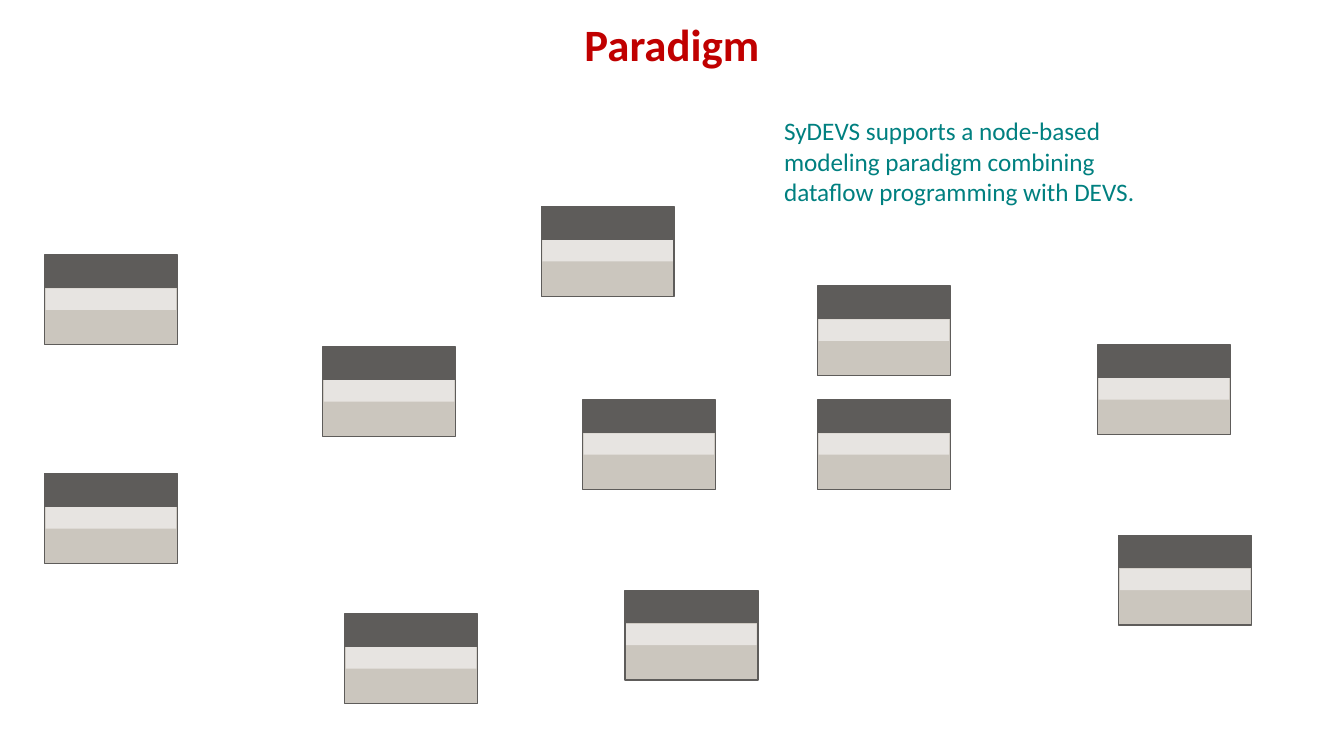
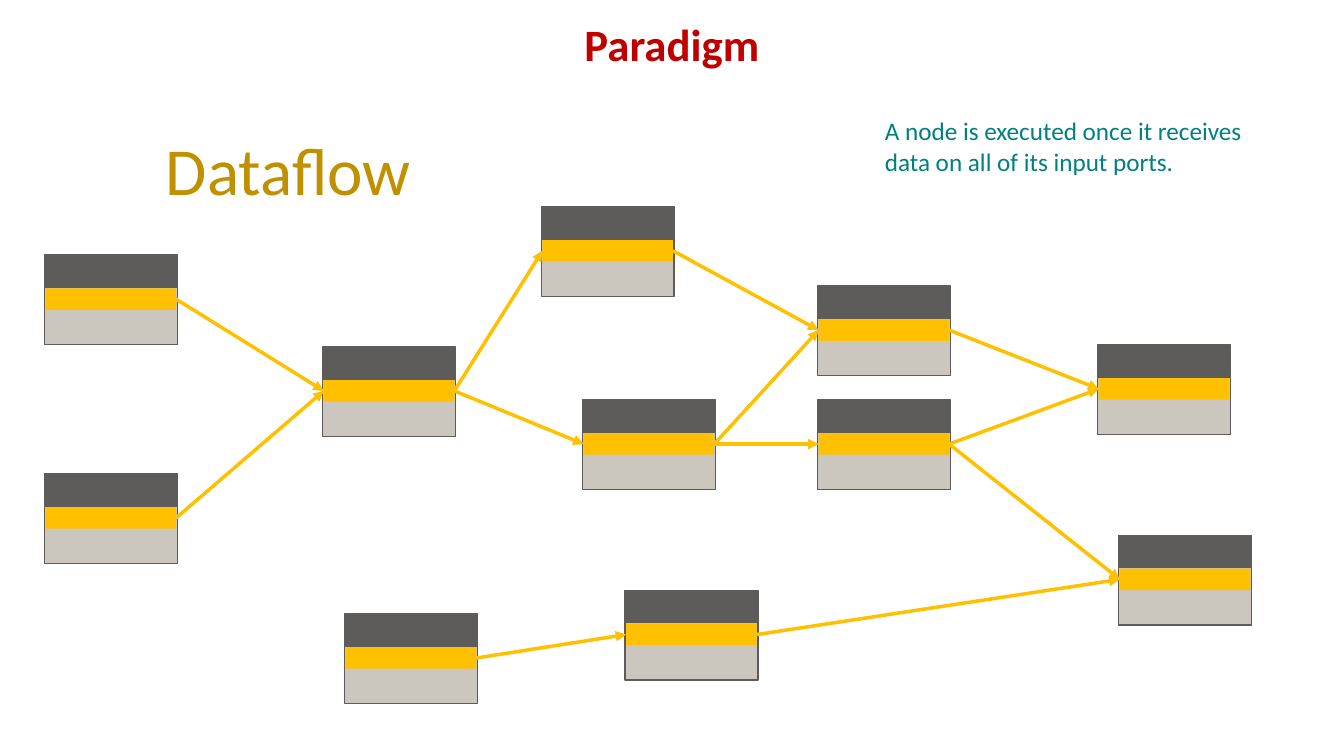
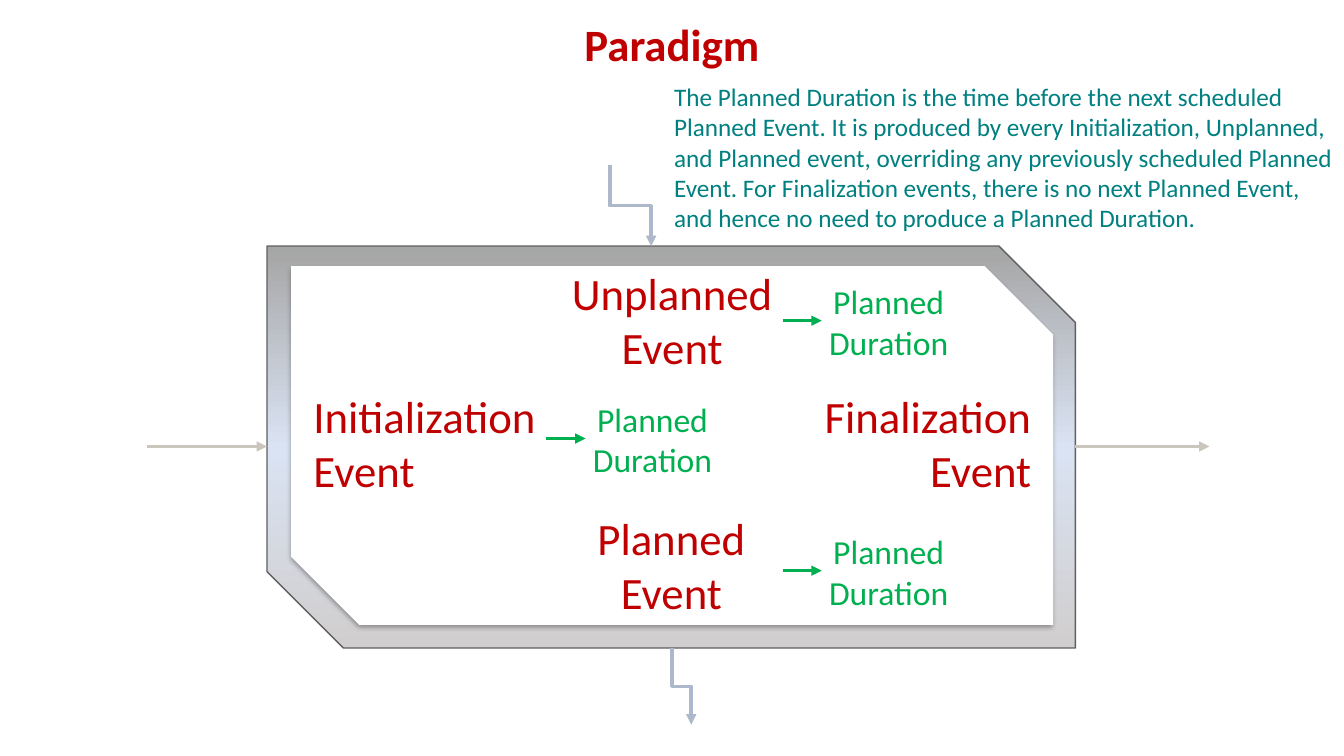
"""Build three slides that explain the node-based modeling paradigm."""

import copy
import dataclasses

import lxml.etree
import pptx
import pptx.dml.color
import pptx.enum.shapes
import pptx.enum.text
import pptx.oxml.ns
import pptx.presentation
import pptx.shapes.autoshape
import pptx.shapes.connector
import pptx.slide
import pptx.text.text
import pptx.util

Cm = pptx.util.Cm
Pt = pptx.util.Pt
RGBColor = pptx.dml.color.RGBColor
Align = pptx.enum.text.PP_ALIGN
Shape = pptx.enum.shapes.MSO_SHAPE
Connector = pptx.enum.shapes.MSO_CONNECTOR
qn = pptx.oxml.ns.qn

RED = RGBColor(0xC0, 0x00, 0x00)
TEAL = RGBColor(0x00, 0x80, 0x80)
GREEN = RGBColor(0x00, 0xB0, 0x50)
GOLD = RGBColor(0xFF, 0xC0, 0x00)
DARK_GOLD = RGBColor(0xBF, 0x90, 0x00)
WHITE = RGBColor(0xFF, 0xFF, 0xFF)
HEADER_GREY = RGBColor(0x5E, 0x5C, 0x5A)
BODY_GREY = RGBColor(0xCB, 0xC6, 0xBE)
PORT_GREY = RGBColor(0xE7, 0xE4, 0xE1)
FLOW_GREY = RGBColor(0xCB, 0xC6, 0xBD)
MESSAGE_BLUE = RGBColor(0xAD, 0xB9, 0xCA)
FRAME_EDGE = RGBColor(0x5F, 0x5F, 0x5F)
FRAME_GRADIENT = (
    (0.0, RGBColor(0xD0, 0xCE, 0xCE)),
    (0.5, RGBColor(0xDA, 0xE3, 0xF3)),
    (1.0, RGBColor(0xA5, 0xA5, 0xA5)),
)

FONT = "Calibri"
TITLE = "Paradigm"
SLIDE_WIDTH, SLIDE_HEIGHT = 33.87, 19.05
TITLE_ONLY_LAYOUT = 5
NODE_WIDTH, HEADER_HEIGHT, BODY_HEIGHT = 3.35, 0.81, 1.45
PORT_INSET, PORT_HEIGHT = 0.03, 0.54
LEFT_SITE, RIGHT_SITE = 1, 3
SNIP = 0.19


@dataclasses.dataclass(frozen=True)
class Box:
    """A rectangle in centimetres."""

    left: float
    top: float
    width: float
    height: float

    def lengths(self) -> tuple[int, int, int, int]:
        """Return the rectangle as slide lengths."""
        return Cm(self.left), Cm(self.top), Cm(self.width), Cm(self.height)


@dataclasses.dataclass(frozen=True)
class Label:
    """Coloured text in a box."""

    text: str
    box: Box
    size: int
    color: RGBColor
    align: Align = Align.LEFT


@dataclasses.dataclass(frozen=True)
class Arrow:
    """An arrow between two points in centimetres."""

    start: tuple[float, float]
    end: tuple[float, float]
    color: RGBColor


NODES = {
    "source a": (1.12, 6.43),
    "source b": (1.12, 11.94),
    "source c": (8.69, 15.47),
    "merge": (8.13, 8.74),
    "upper": (13.64, 5.21),
    "middle": (14.68, 10.08),
    "lower": (15.75, 14.88),
    "join": (20.6, 7.21),
    "relay": (20.6, 10.08),
    "sink a": (27.66, 8.69),
    "sink b": (28.19, 13.49),
}

FLOWS = (
    ("source a", "merge"),
    ("source b", "merge"),
    ("merge", "upper"),
    ("merge", "middle"),
    ("upper", "join"),
    ("middle", "join"),
    ("middle", "relay"),
    ("join", "sink a"),
    ("relay", "sink a"),
    ("relay", "sink b"),
    ("source c", "lower"),
    ("lower", "sink b"),
)

INTRO = Label(
    "SyDEVS supports a node-based modeling paradigm combining dataflow programming with DEVS.",
    Box(19.51, 2.79, 9.73, 2.57), 18, TEAL)
EXECUTION = Label(
    "A node is executed once it receives data on all of its input ports.",
    Box(22.05, 2.79, 9.73, 1.8), 18, TEAL)
DATAFLOW = Label("Dataflow", Box(3.18, 3.12, 8.18, 2.31), 48, DARK_GOLD, Align.CENTER)
DURATION_RULE = Label(
    "The Planned Duration is the time before the next scheduled Planned Event. "
    "It is produced by every Initialization, Unplanned, and Planned event, "
    "overriding any previously scheduled Planned Event. For Finalization events, "
    "there is no next Planned Event, and hence no need to produce a Planned Duration.",
    Box(16.74, 1.93, 17.12, 4.11), 18, TEAL)

EVENTS = (
    ("Initialization", 7.65, 9.68, Align.LEFT),
    ("Unplanned", 12.75, 6.58, Align.CENTER),
    ("Planned", 12.73, 12.75, Align.CENTER),
    ("Finalization", 17.86, 9.68, Align.RIGHT),
)
DURATIONS = ((20.35, 6.96), (20.35, 13.26), (14.4, 9.93))
FRAME = Box(6.73, 6.2, 20.37, 10.13)
PANEL = Box(7.34, 6.71, 19.2, 9.04)
FLOW_ARROWS = (
    Arrow((3.71, 11.25), (6.73, 11.25), FLOW_GREY),
    Arrow((27.1, 11.25), (30.48, 11.25), FLOW_GREY),
)
MESSAGE_ARROWS = (
    Arrow((15.37, 4.17), (16.41, 6.2), MESSAGE_BLUE),
    Arrow((16.94, 16.33), (17.42, 18.26), MESSAGE_BLUE),
)


def format_text(frame: pptx.text.text.TextFrame, size: int, color: RGBColor,
                align: Align, bold: bool = False) -> None:
    """Apply one font and alignment to every paragraph."""
    for paragraph in frame.paragraphs:
        paragraph.alignment = align
        for run in paragraph.runs:
            run.font.name = FONT
            run.font.size = Pt(size)
            run.font.bold = bold
            run.font.color.rgb = color


def add_titled_slide(deck: pptx.presentation.Presentation) -> pptx.slide.Slide:
    """Add a slide with the shared title."""
    slide = deck.slides.add_slide(deck.slide_layouts[TITLE_ONLY_LAYOUT])
    title = slide.shapes.title
    title.left, title.top, title.width, title.height = Box(0, 0.41, SLIDE_WIDTH, 1.5).lengths()
    frame = title.text_frame
    frame.text = TITLE
    frame.auto_size = pptx.enum.text.MSO_AUTO_SIZE.NONE
    frame.vertical_anchor = pptx.enum.text.MSO_ANCHOR.BOTTOM
    frame.paragraphs[0].line_spacing = 0.9
    format_text(frame, 32, RED, Align.CENTER, bold=True)
    return slide


def add_label(slide: pptx.slide.Slide, label: Label) -> None:
    """Add a wrapped text box."""
    frame = slide.shapes.add_textbox(*label.box.lengths()).text_frame
    frame.word_wrap = True
    frame.auto_size = pptx.enum.text.MSO_AUTO_SIZE.SHAPE_TO_FIT_TEXT
    frame.text = label.text
    format_text(frame, label.size, label.color, label.align)


def add_block(shapes, kind: Shape, box: Box, fill: RGBColor,
              edge: RGBColor | None = None) -> pptx.shapes.autoshape.Shape:
    """Add a filled shape without shadow and with an optional outline."""
    block = shapes.add_shape(kind, *box.lengths())
    block.shadow.inherit = False
    block.fill.solid()
    block.fill.fore_color.rgb = fill
    if edge is None:
        block.line.fill.background()
    else:
        block.line.color.rgb = edge
        block.line.width = Pt(1)
    return block


def add_nodes(slide: pptx.slide.Slide,
              port_color: RGBColor) -> dict[str, pptx.shapes.autoshape.Shape]:
    """Draw every node as a group and return the port strips by node."""
    ports = {}
    for node, (left, top) in NODES.items():
        shapes = slide.shapes.add_group_shape().shapes
        body_top = top + HEADER_HEIGHT
        add_block(shapes, Shape.RECTANGLE, Box(left, body_top, NODE_WIDTH, BODY_HEIGHT),
                  BODY_GREY, HEADER_GREY)
        strip = Box(left + PORT_INSET, body_top + PORT_INSET,
                    NODE_WIDTH - 2 * PORT_INSET, PORT_HEIGHT)
        ports[node] = add_block(shapes, Shape.RECTANGLE, strip, port_color)
        add_block(shapes, Shape.RECTANGLE, Box(left, top, NODE_WIDTH, HEADER_HEIGHT),
                  HEADER_GREY, HEADER_GREY)
    return ports


def style_arrow(connector: pptx.shapes.connector.Connector, color: RGBColor) -> None:
    """Colour a connector, give it an arrowhead and drop its shadow."""
    connector.line.color.rgb = color
    connector.line.width = Pt(2.5)
    properties = connector._element.spPr
    lxml.etree.SubElement(properties.find(qn("a:ln")), qn("a:tailEnd"), type="triangle")
    lxml.etree.SubElement(properties, qn("a:effectLst"))


def add_arrow(slide: pptx.slide.Slide, arrow: Arrow) -> None:
    """Add a straight arrow."""
    points = [Cm(value) for value in (*arrow.start, *arrow.end)]
    style_arrow(slide.shapes.add_connector(Connector.STRAIGHT, *points), arrow.color)


def add_message_arrow(slide: pptx.slide.Slide, arrow: Arrow) -> None:
    """Add an elbow arrow that leaves and arrives vertically."""
    (x1, y1), (x2, y2) = arrow.start, arrow.end
    middle_x, middle_y = (x1 + x2) / 2, (y1 + y2) / 2
    reach, drift = (y2 - y1) / 2, (x2 - x1) / 2
    connector = slide.shapes.add_connector(
        Connector.ELBOW, Cm(middle_x + reach), Cm(middle_y - drift),
        Cm(middle_x - reach), Cm(middle_y + drift))
    connector._element.spPr.find(qn("a:xfrm")).set("rot", str(270 * 60000))
    style_arrow(connector, arrow.color)


def add_snipped(slide: pptx.slide.Slide, box: Box,
                edge: RGBColor | None = None) -> pptx.shapes.autoshape.Shape:
    """Add a white rectangle with two snipped corners."""
    snipped = add_block(slide.shapes, Shape.SNIP_2_DIAG_RECTANGLE, box, WHITE, edge)
    snipped.adjustments[0] = 0
    snipped.adjustments[1] = SNIP
    return snipped


def add_event_frame(slide: pptx.slide.Slide) -> None:
    """Add the gradient frame around the events."""
    frame = add_snipped(slide, FRAME, FRAME_EDGE)
    frame.fill.gradient()
    frame.fill.gradient_angle = 90
    stops = frame._element.spPr.find(qn("a:gradFill")).find(qn("a:gsLst"))
    stops.append(copy.deepcopy(stops[0]))
    for stop, (position, color) in zip(frame.fill.gradient_stops, FRAME_GRADIENT):
        stop.position = position
        stop.color.rgb = color


def add_event_panel(slide: pptx.slide.Slide) -> None:
    """Add the white panel with its soft shadow."""
    panel = add_snipped(slide, PANEL)
    effects = panel._element.spPr.find(qn("a:effectLst"))
    shadow = lxml.etree.SubElement(
        effects, qn("a:outerShdw"), blurRad=str(Pt(3.5)), dist=str(Pt(2.2)),
        dir=str(90 * 60000), rotWithShape="0")
    black = lxml.etree.SubElement(shadow, qn("a:srgbClr"), val="000000")
    lxml.etree.SubElement(black, qn("a:alpha"), val="32000")


def build_nodes_slide(deck: pptx.presentation.Presentation) -> None:
    """Show the unconnected nodes."""
    slide = add_titled_slide(deck)
    add_nodes(slide, PORT_GREY)
    add_label(slide, INTRO)


def build_dataflow_slide(deck: pptx.presentation.Presentation) -> None:
    """Show data flowing between the nodes."""
    slide = add_titled_slide(deck)
    ports = add_nodes(slide, GOLD)
    for sender, receiver in FLOWS:
        flow = slide.shapes.add_connector(Connector.STRAIGHT, 0, 0, 0, 0)
        flow.begin_connect(ports[sender], RIGHT_SITE)
        flow.end_connect(ports[receiver], LEFT_SITE)
        style_arrow(flow, GOLD)
    add_label(slide, DATAFLOW)
    add_label(slide, EXECUTION)


def build_events_slide(deck: pptx.presentation.Presentation) -> None:
    """Show the four events of a node and their planned durations."""
    slide = add_titled_slide(deck)
    add_event_frame(slide)
    add_event_panel(slide)
    for arrow in FLOW_ARROWS:
        add_arrow(slide, arrow)
    for arrow in MESSAGE_ARROWS:
        add_message_arrow(slide, arrow)
    for event, left, top, align in EVENTS:
        add_label(slide, Label(f"{event}\nEvent", Box(left, top, 8.38, 3), 32, RED, align))
    for left, top in DURATIONS:
        arrow_left, arrow_y = left - 0.63, top + 1.12
        add_arrow(slide, Arrow((arrow_left, arrow_y), (arrow_left + 0.99, arrow_y), GREEN))
        add_label(slide, Label("Planned\nDuration", Box(left, top, 4.09, 2.31),
                               24, GREEN, Align.CENTER))
    add_label(slide, DURATION_RULE)


def main() -> None:
    """Build and save the presentation."""
    deck = pptx.Presentation()
    deck.slide_width = Cm(SLIDE_WIDTH)
    deck.slide_height = Cm(SLIDE_HEIGHT)
    build_nodes_slide(deck)
    build_dataflow_slide(deck)
    build_events_slide(deck)
    deck.save("out.pptx")


if __name__ == "__main__":
    main()
